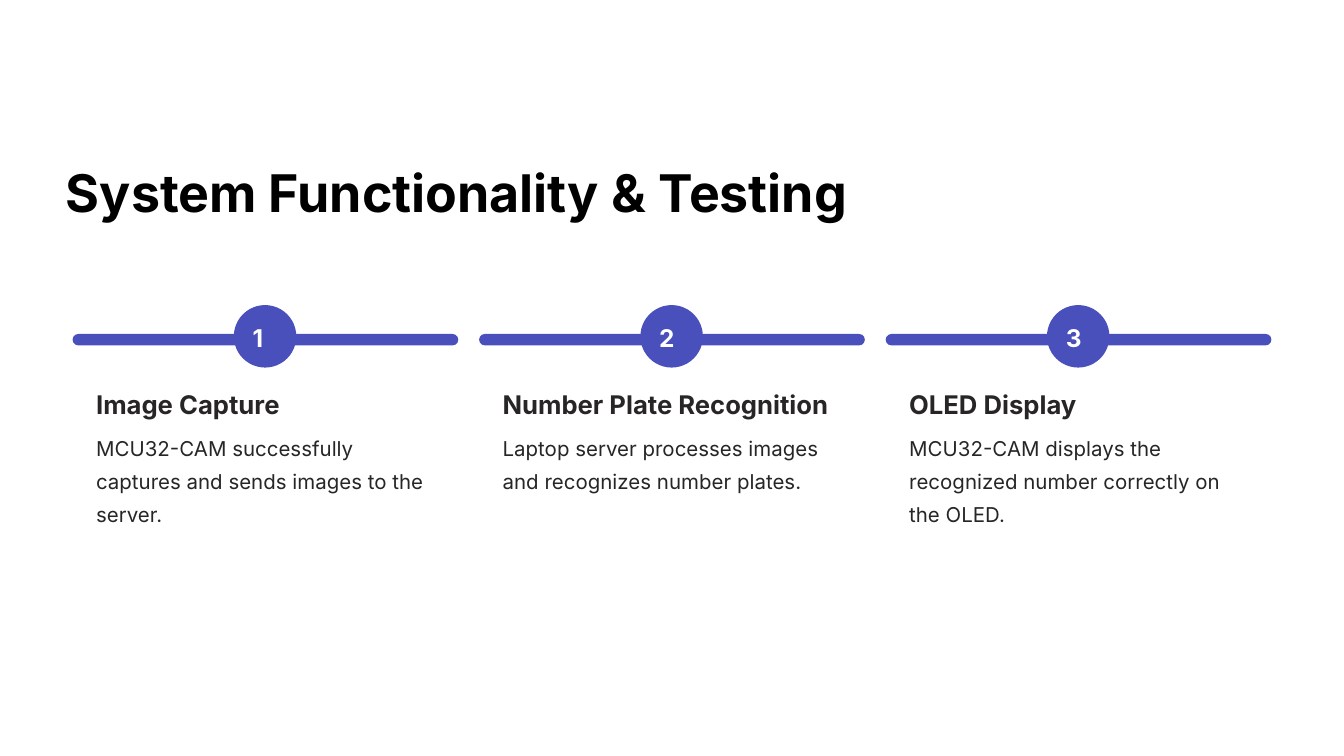
from pptx import Presentation
from pptx.dml.color import RGBColor
from pptx.enum.shapes import MSO_SHAPE
from pptx.enum.text import MSO_ANCHOR, MSO_AUTO_SIZE, PP_ALIGN
from pptx.util import Inches, Pt

BAR, CIRCLE = MSO_SHAPE.ROUNDED_RECTANGLE, MSO_SHAPE.OVAL
TOP, LEFT, NO_FIT = MSO_ANCHOR.TOP, PP_ALIGN.LEFT, MSO_AUTO_SIZE.NONE

ACCENT = "4950BC"
FIRST_STEP, STEP_PITCH = 1.08, 6.05
FRAME_FORMAT = {
    "margin_left": 0, "margin_top": 0, "margin_right": 0, "margin_bottom": 0,
    "word_wrap": True, "auto_size": NO_FIT, "vertical_anchor": TOP,
}
TEXT_STYLES = {
    "title": {"size": 55.6, "spacing": 69.4, "color": "000000", "bold": True},
    "number": {"size": 26.2, "spacing": 42.5, "color": "FFFFFF", "bold": True},
    "heading": {"size": 27.5, "spacing": 34.4, "color": "272525", "bold": True},
    "description": {"size": 21.9, "spacing": 35.6, "color": "272525", "bold": False},
}
STEPS = [
    ("Image Capture",
     "MCU32-CAM successfully captures and sends images to the server."),
    ("Number Plate Recognition",
     "Laptop server processes images and recognizes number plates."),
    ("OLED Display",
     "MCU32-CAM displays the recognized number correctly on the OLED."),
]


def rgb(color):
    """Return the colour for a hex string."""
    return RGBColor.from_string(color)


def write(frame, text, style_name):
    """Put one styled paragraph into a text frame."""
    style = TEXT_STYLES[style_name]
    for name, value in FRAME_FORMAT.items():
        setattr(frame, name, value)
    frame.text = text
    paragraph = frame.paragraphs[0]
    paragraph_format = {"alignment": LEFT, "line_spacing": Pt(style["spacing"]),
                        "space_before": Pt(0)}
    for name, value in paragraph_format.items():
        setattr(paragraph, name, value)
    font = paragraph.runs[0].font
    font_format = {"name": "Inter", "size": Pt(style["size"]), "bold": style["bold"]}
    for name, value in font_format.items():
        setattr(font, name, value)
    font.color.rgb = rgb(style["color"])


def add_title(slide, text):
    """Place the slide title in its placeholder."""
    title = slide.shapes.title
    position = {"left": 0.98, "top": 2.36, "width": 11.68, "height": 1}
    for name, value in position.items():
        setattr(title, name, Inches(value))
    write(title.text_frame, text, "title")


def add_text(slide, box, text, style_name):
    """Add a text box in the given style."""
    textbox = slide.shapes.add_textbox(*map(Inches, box))
    write(textbox.text_frame, text, style_name)


def add_marker(slide, preset, box):
    """Add a filled timeline shape without outline."""
    marker = slide.shapes.add_shape(preset, *map(Inches, box))
    marker.shadow.inherit = False
    marker.fill.solid()
    marker.fill.fore_color.rgb = rgb(ACCENT)
    marker.line.fill.background()
    return marker


def add_step(slide, index, heading, description):
    """Add one numbered step of the timeline."""
    left = FIRST_STEP + index * STEP_PITCH
    bar = add_marker(slide, BAR, (left, 4.97, 5.74, 0.17))
    bar.adjustments[0] = 0.5
    add_marker(slide, CIRCLE, (left + 2.4, 4.54, 0.93, 0.93))
    add_text(slide, (left + 2.68, 4.66, 0.37, 0.58), str(index + 1), "number")
    add_text(slide, (left + 0.35, 5.76, 4.92, 0.51), heading, "heading")
    add_text(slide, (left + 0.35, 6.36, 5.03, 1.58), description, "description")


def main():
    """Build the slide and save it."""
    presentation = Presentation()
    presentation.slide_width = Inches(20)
    presentation.slide_height = Inches(11.25)
    slide = presentation.slides.add_slide(presentation.slide_layouts[5])
    slide.background.fill.solid()
    slide.background.fill.fore_color.rgb = rgb("FFFFFF")
    add_title(slide, "System Functionality & Testing")
    for index, (heading, description) in enumerate(STEPS):
        add_step(slide, index, heading, description)
    presentation.save("out.pptx")


if __name__ == "__main__":
    main()
